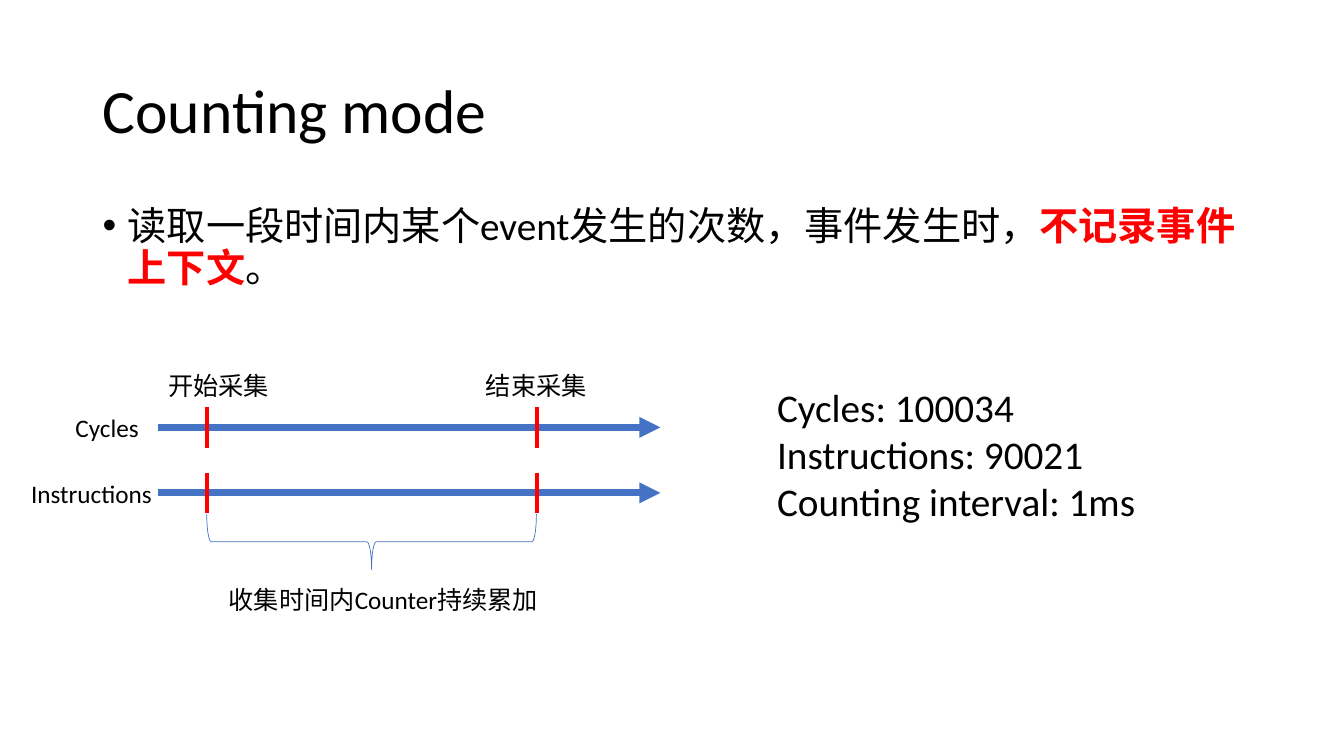
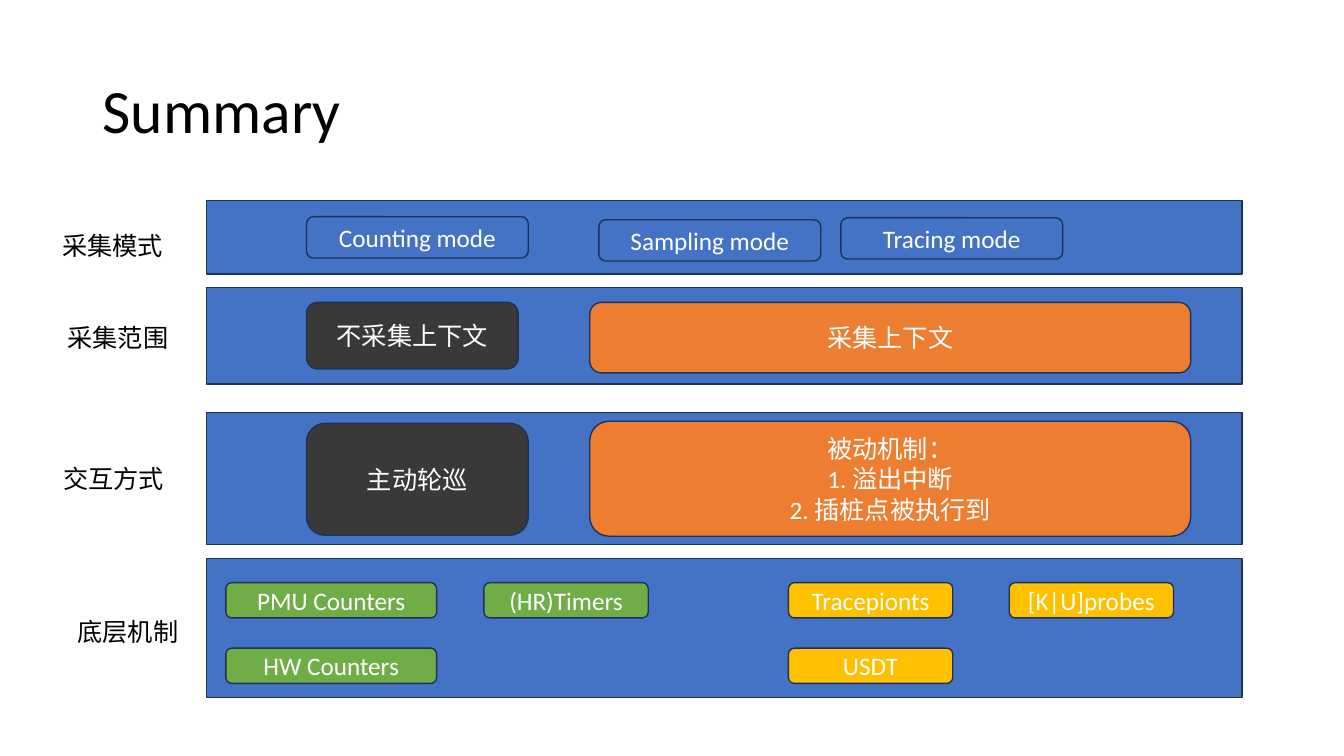
from typing import NamedTuple

import pptx
import pptx.dml.color
import pptx.enum.shapes
import pptx.enum.text
import pptx.oxml.ns
import pptx.util
from lxml import etree

Inches = pptx.util.Inches
Pt = pptx.util.Pt
MSO_SHAPE = pptx.enum.shapes.MSO_SHAPE
PP_ALIGN = pptx.enum.text.PP_ALIGN
MSO_ANCHOR = pptx.enum.text.MSO_ANCHOR

FONT = "Calibri"
BLACK, WHITE, RED = "000000", "FFFFFF", "FF0000"
BLUE, NAVY, ORANGE = "4472C4", "1E3256", "ED7D31"
GREEN, YELLOW, GRAY = "70AD47", "FFC000", "3A3838"
LABEL_SIZE, BODY_SIZE, TITLE_SIZE = 18, 28, 44
LABEL_W, LABEL_H = 1.21, 0.4
AXIS_LEFT, AXIS_RIGHT = 1.57, 6.55
START_X, END_X = 2.05, 5.33
TICK_HALF = 0.2
BAND_X, BAND_W = 2.05, 10.27


class Run(NamedTuple):
    text: str
    color: str = BLACK
    bold: bool = False


class Box(NamedTuple):
    x: float
    y: float
    w: float
    h: float


class Label(NamedTuple):
    text: str
    box: Box
    wrap: bool = False


class Block(NamedTuple):
    lines: tuple[str, ...]
    box: Box
    fill: str


class Band(NamedTuple):
    y: float
    h: float
    label: Label
    blocks: tuple[Block, ...]


def rgb(color: str):
    return pptx.dml.color.RGBColor.from_string(color)


def add_runs(p, runs: list[Run], size: float) -> None:
    for run in runs:
        r = p.add_run()
        r.text = run.text
        r.font.name = FONT
        r.font.size = Pt(size)
        r.font.bold = run.bold
        r.font.color.rgb = rgb(run.color)


def fill_text(tf, paragraphs: list[list[Run]], size: float, align=PP_ALIGN.LEFT) -> None:
    for i, runs in enumerate(paragraphs):
        p = tf.paragraphs[0] if i == 0 else tf.add_paragraph()
        p.alignment = align
        add_runs(p, runs, size)


def add_text(slide, box: Box, paragraphs: list[list[Run]], size: float, wrap: bool = True):
    sp = slide.shapes.add_textbox(*map(Inches, box))
    tf = sp.text_frame
    tf.word_wrap = wrap
    fill_text(tf, paragraphs, size)
    return tf


def add_label(slide, label: Label) -> None:
    add_text(slide, label.box, [[Run(label.text)]], LABEL_SIZE, label.wrap)


def add_title(slide, text: str) -> None:
    tf = add_text(slide, Box(0.92, 0.4, 11.5, 1.45), [[Run(text)]], TITLE_SIZE)
    tf.vertical_anchor = MSO_ANCHOR.MIDDLE
    tf.paragraphs[0].line_spacing = 0.9


def add_bullet(slide, box: Box, runs: list[Run]) -> None:
    tf = add_text(slide, box, [runs], BODY_SIZE)
    p = tf.paragraphs[0]
    p.line_spacing = 0.9
    pPr = p._p.get_or_add_pPr()
    pPr.set("marL", str(Inches(0.25)))
    pPr.set("indent", str(-Inches(0.25)))
    font = etree.SubElement(pPr, pptx.oxml.ns.qn("a:buFont"))
    font.set("typeface", "Arial")
    bullet = etree.SubElement(pPr, pptx.oxml.ns.qn("a:buChar"))
    bullet.set("char", "•")


def add_shape(slide, kind, box: Box, fill: str):
    sp = slide.shapes.add_shape(kind, *map(Inches, box))
    sp.shadow.inherit = False
    sp.fill.solid()
    sp.fill.fore_color.rgb = rgb(fill)
    sp.line.color.rgb = rgb(NAVY)
    sp.line.width = Pt(1)
    return sp


def add_block(slide, block: Block) -> None:
    sp = add_shape(slide, MSO_SHAPE.ROUNDED_RECTANGLE, block.box, block.fill)
    tf = sp.text_frame
    tf.word_wrap = True
    tf.vertical_anchor = MSO_ANCHOR.MIDDLE
    fill_text(tf, [[Run(line, WHITE)] for line in block.lines], LABEL_SIZE, PP_ALIGN.CENTER)


def add_line(slide, x1: float, y1: float, x2: float, y2: float,
             color: str, width: float, arrow: bool = False) -> None:
    line = slide.shapes.add_connector(
        pptx.enum.shapes.MSO_CONNECTOR.STRAIGHT, *map(Inches, (x1, y1, x2, y2)))
    line.line.color.rgb = rgb(color)
    line.line.width = Pt(width)
    if arrow:
        tail = etree.SubElement(line.line._get_or_add_ln(), pptx.oxml.ns.qn("a:tailEnd"))
        tail.set("type", "triangle")
    etree.SubElement(line._element.spPr, pptx.oxml.ns.qn("a:effectLst"))


def add_timeline(slide, y: float, label: Label) -> None:
    add_line(slide, AXIS_LEFT, y, AXIS_RIGHT, y, BLUE, 5, arrow=True)
    for x in (START_X, END_X):
        add_line(slide, x, y - TICK_HALF, x, y + TICK_HALF, RED, 3)
    add_label(slide, label)


def add_brace(slide, box: Box) -> None:
    sp = slide.shapes.add_shape(MSO_SHAPE.RIGHT_BRACE, *map(Inches, box))
    sp.rotation = 90
    sp.shadow.inherit = False
    sp.fill.background()
    sp.line.color.rgb = rgb(BLUE)
    sp.line.width = Pt(0.5)


def add_band(slide, band: Band) -> None:
    add_shape(slide, MSO_SHAPE.RECTANGLE, Box(BAND_X, band.y, BAND_W, band.h), BLUE)
    for block in band.blocks:
        add_block(slide, block)
    add_label(slide, band.label)


def row_label(text: str, x: float, y: float) -> Label:
    return Label(text, Box(x, y, LABEL_W, LABEL_H))


def mode(text: str, x: float, y: float) -> Block:
    return Block((text,), Box(x, y, 2.2, 0.41), BLUE)


def source(text: str, x: float, y: float, w: float, fill: str) -> Block:
    return Block((text,), Box(x, y, w, 0.35), fill)


BANDS = (
    Band(1.99, 0.73, row_label("采集模式", 0.52, 2.24), (
        mode("Counting mode", 3.04, 2.15),
        mode("Sampling mode", 5.94, 2.18),
        mode("Tracing mode", 8.34, 2.16),
    )),
    Band(2.85, 0.96, row_label("采集范围", 0.57, 3.15), (
        Block(("不采集上下文",), Box(3.04, 3, 2.1, 0.66), GRAY),
        Block(("采集上下文",), Box(5.85, 3, 5.96, 0.7), ORANGE),
    )),
    Band(4.09, 1.31, row_label("交互方式", 0.53, 4.55), (
        Block(("主动轮巡",), Box(3.04, 4.2, 2.2, 1.11), GRAY),
        Block(("被动机制：", "1. 溢出中断", "2. 插桩点被执行到"),
              Box(5.85, 4.18, 5.96, 1.14), ORANGE),
    )),
    Band(5.54, 1.38, row_label("底层机制", 0.67, 6.07), (
        source("PMU Counters", 2.24, 5.78, 2.09, GREEN),
        source("(HR)Timers", 4.8, 5.78, 1.63, GREEN),
        source("Tracepionts", 7.82, 5.78, 1.63, YELLOW),
        source("[K|U]probes", 10.01, 5.78, 1.63, YELLOW),
        source("HW Counters", 2.24, 6.43, 2.09, GREEN),
        source("USDT", 7.82, 6.43, 1.63, YELLOW),
    )),
)


def build_counting(slide) -> None:
    add_title(slide, "Counting mode")
    add_bullet(slide, Box(0.92, 2, 11.5, 4.76), [
        Run("读取一段时间内某个event发生的次数，事件发生时，"),
        Run("不记录事件上下文", RED, True),
        Run("。"),
    ])
    add_timeline(slide, 4.24, Label("Cycles", Box(0.65, 4.04, 0.84, LABEL_H)))
    add_timeline(slide, 4.89, Label("Instructions", Box(0.21, 4.7, 1.41, LABEL_H)))
    add_label(slide, row_label("开始采集", 1.57, 3.62))
    add_label(slide, row_label("结束采集", 4.72, 3.62))
    add_brace(slide, Box(3.41, 3.74, 0.55, 3.27))
    add_label(slide, Label("收集时间内Counter持续累加", Box(2.17, 5.75, 3.29, LABEL_H), True))
    results = ("Cycles: 100034", "Instructions: 90021", "Counting interval: 1ms")
    add_text(slide, Box(7.61, 3.75, 4.37, 1.51), [[Run(line)] for line in results], BODY_SIZE)


def build_summary(slide) -> None:
    add_title(slide, "Summary")
    for band in BANDS:
        add_band(slide, band)


def main() -> None:
    prs = pptx.Presentation()
    prs.slide_width = Inches(13.33)
    prs.slide_height = Inches(7.5)
    for build in (build_counting, build_summary):
        build(prs.slides.add_slide(prs.slide_layouts[6]))
    prs.save("out.pptx")


if __name__ == "__main__":
    main()
